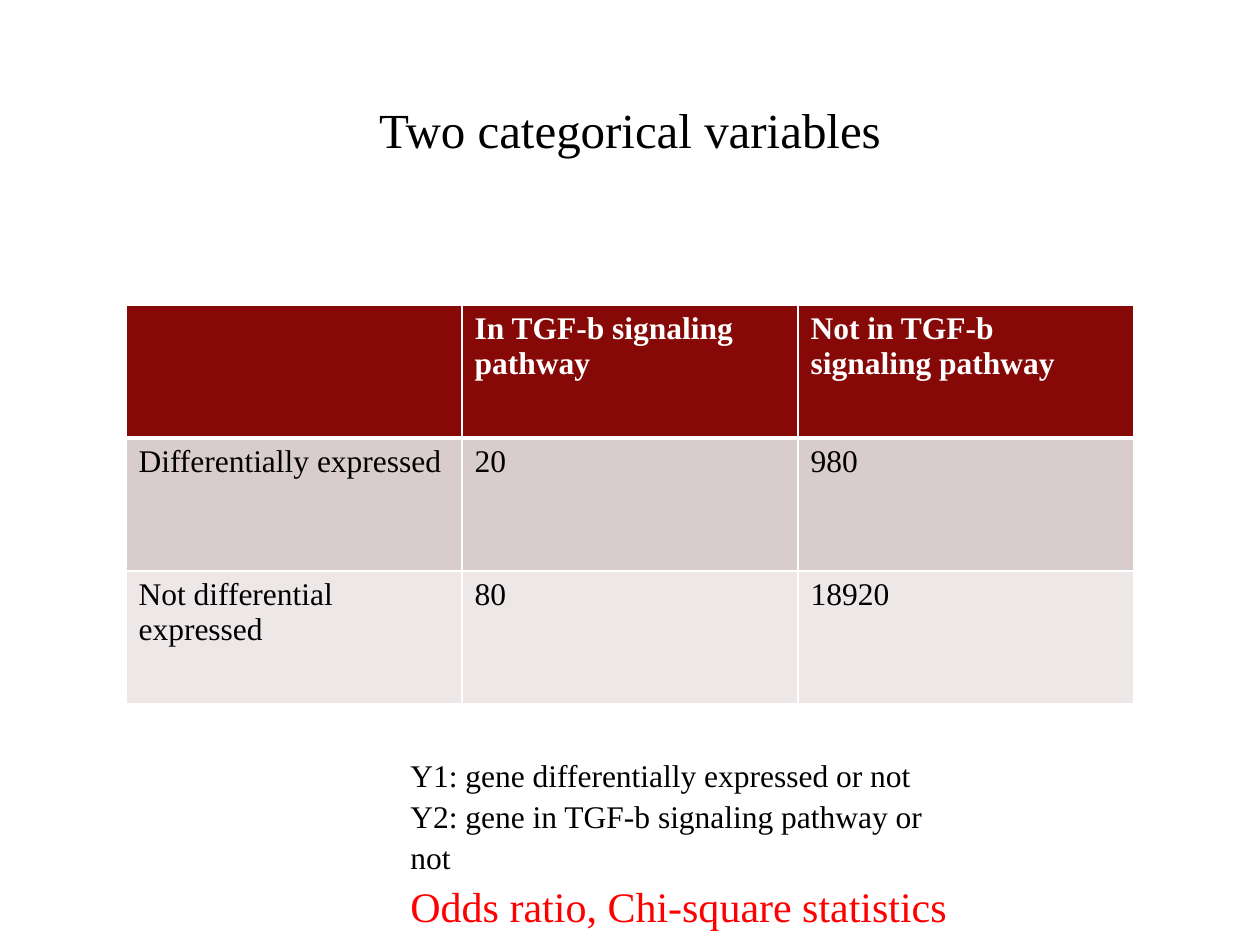
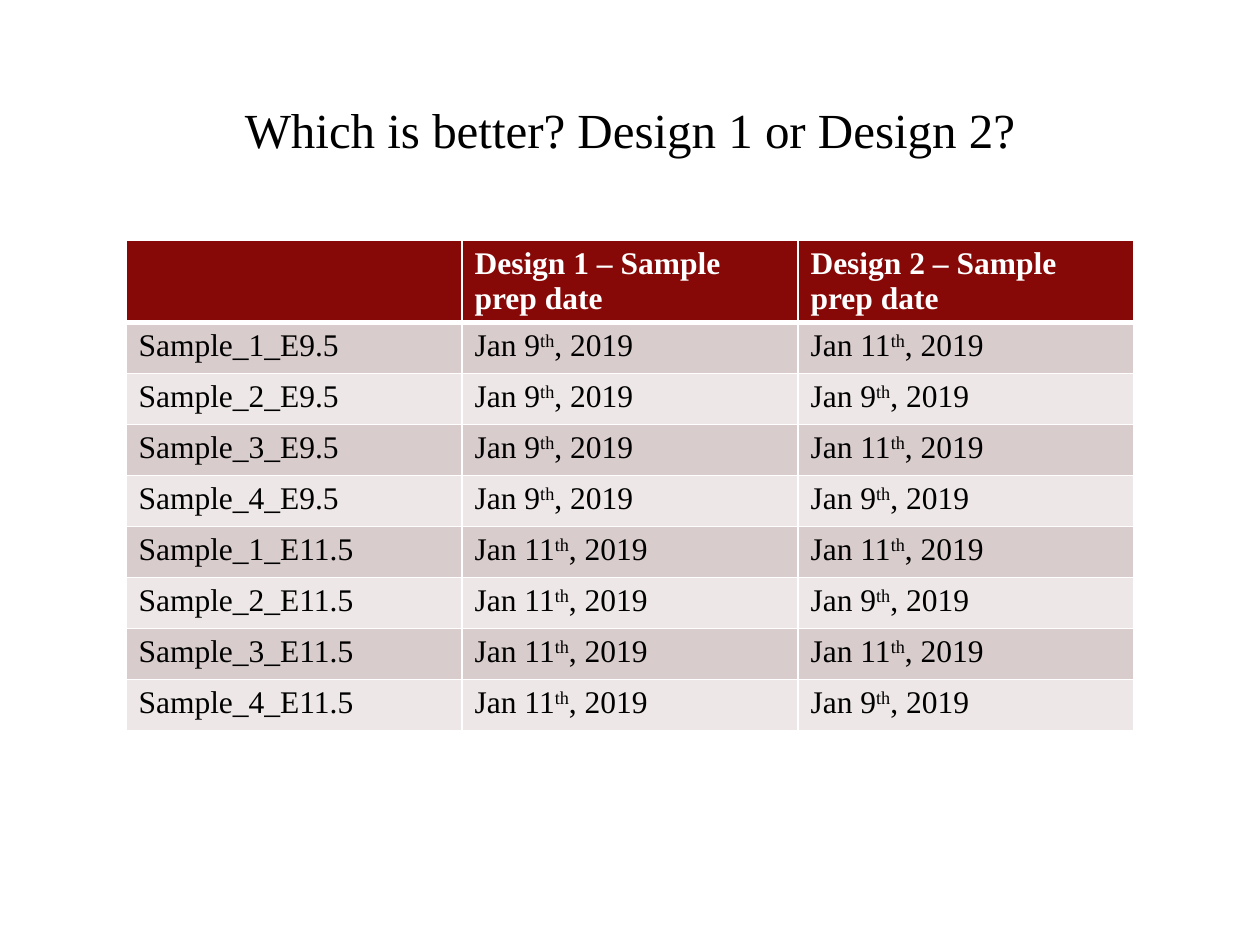
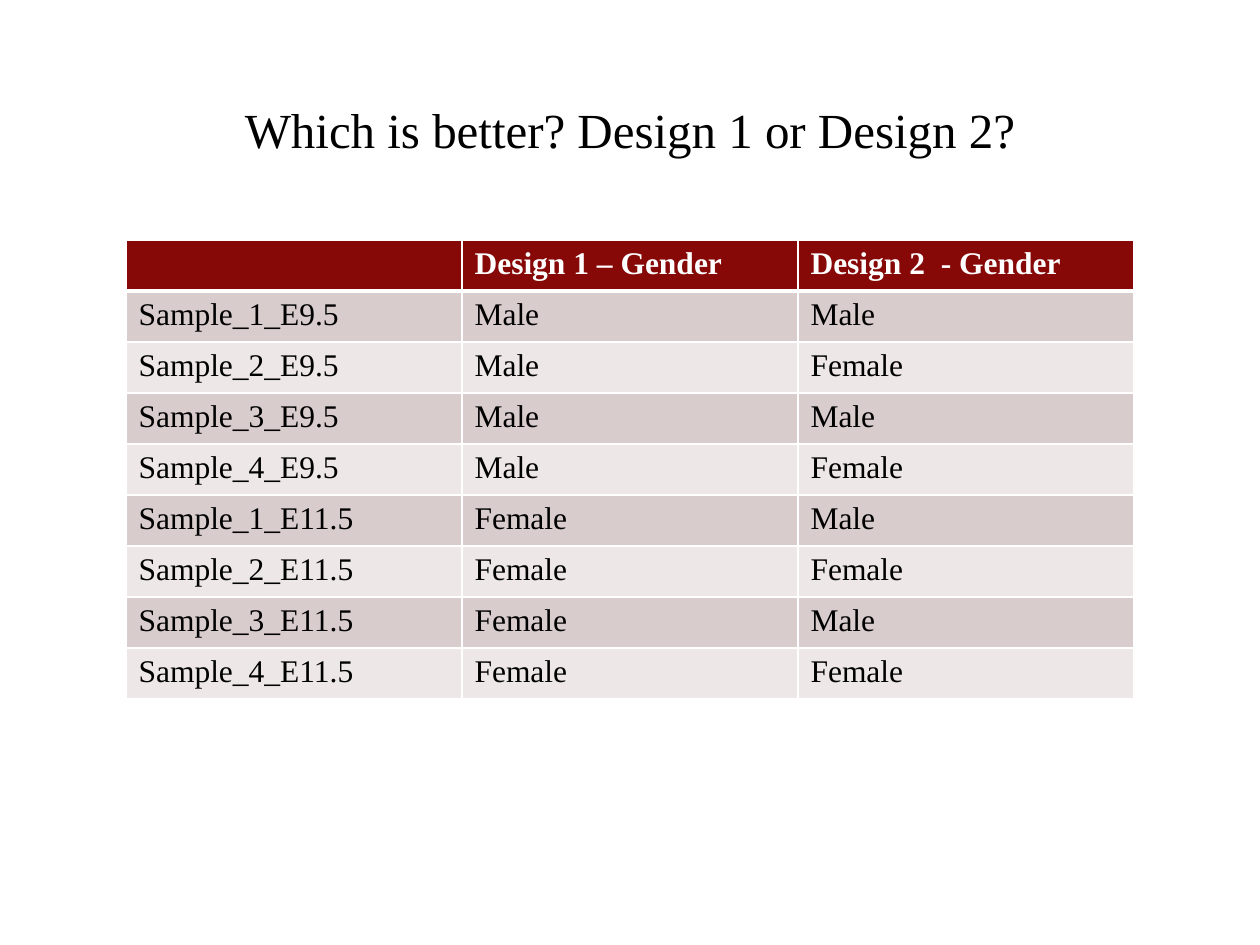
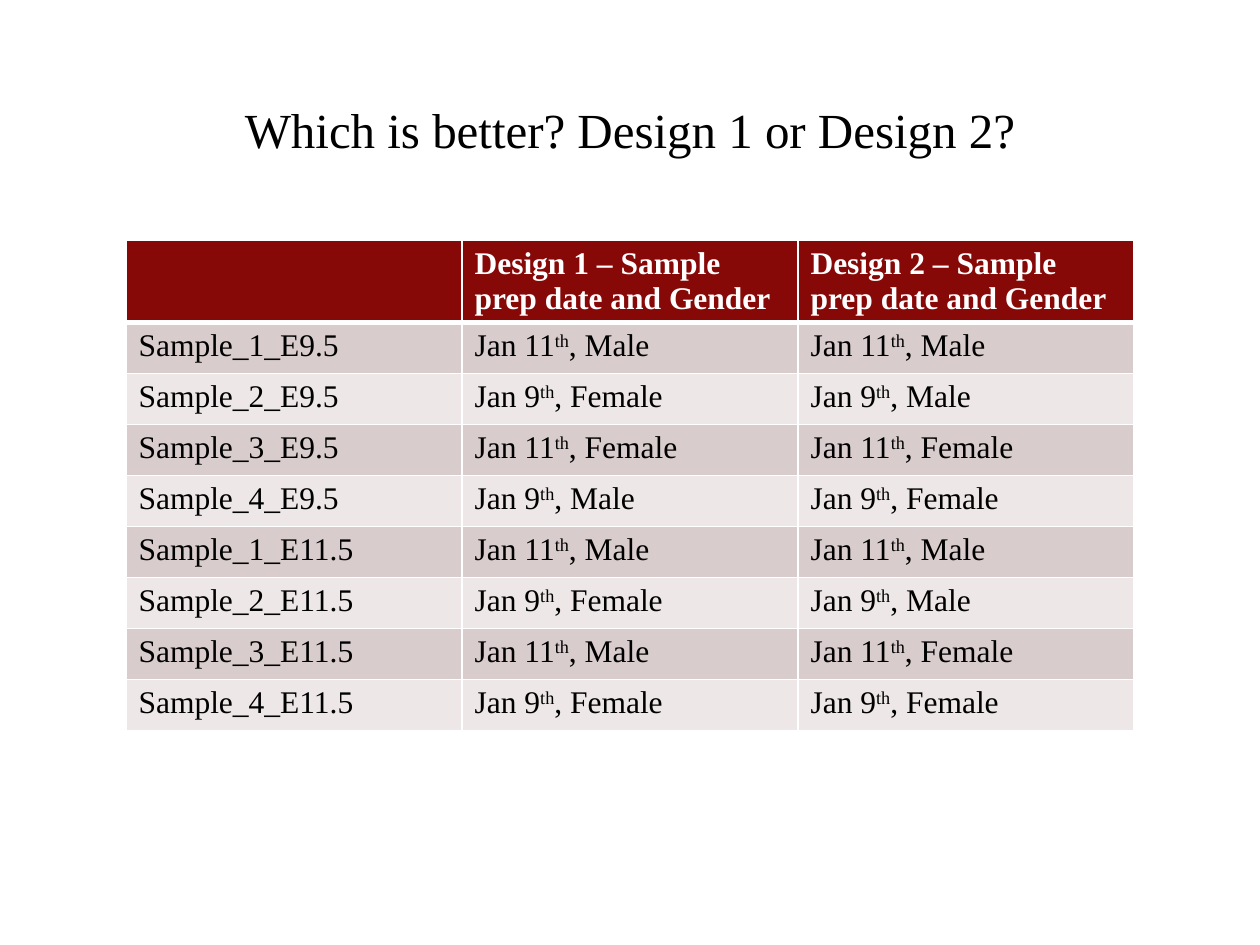
from itertools import product

from lxml import etree
from pptx import Presentation
from pptx.dml.color import RGBColor
from pptx.enum.text import MSO_ANCHOR, MSO_AUTO_SIZE, PP_ALIGN
from pptx.oxml.ns import qn
from pptx.util import Emu, Pt

CENTER = PP_ALIGN.CENTER
MIDDLE = MSO_ANCHOR.MIDDLE
GROW = MSO_AUTO_SIZE.SHAPE_TO_FIT_TEXT

EMU_PER_PX = 914400 / 126
FONT = "Times New Roman"
BLACK, WHITE, RED = "000000", "FFFFFF", "FF0000"
HEADER_FILL = "860908"
BAND_FILLS = ("D9CCCC", "EDE7E7")
LEFT, COLUMN_WIDTH = 126, 336
ROW_HEIGHT, TALL_HEADER = 51, 81
DESIGN_TOP = 240
QUESTION = "Which is better? Design 1 or Design 2?"


def px(value):
    return Emu(round(value * EMU_PER_PX))


def color(value):
    return RGBColor.from_string(value)


class Deck:
    title_format = {"size": Pt(28), "name": FONT, "bold": False}
    text_format = {"size": Pt(18), "name": FONT, "bold": False}
    header_format = {**text_format, "bold": True}
    emphasis_format = {**text_format, "size": Pt(24)}

    def __init__(self):
        self.presentation = Presentation()
        self.presentation.slide_width = px(1260)
        self.presentation.slide_height = px(945)
        self.slide = None

    def new_slide(self, title):
        layout = self.presentation.slide_layouts.get_by_name("Title Only")
        self.slide = self.presentation.slides.add_slide(layout)
        shape = self.slide.shapes.title
        self.place(shape, 126, 69, 1008, 120)
        shape.text_frame.vertical_anchor = MIDDLE
        paragraph = shape.text_frame.paragraphs[0]
        paragraph.alignment = CENTER
        self.add_text(paragraph, title, self.title_format, BLACK)

    def place(self, shape, left, top, width, height):
        bounds = {"left": left, "top": top, "width": width, "height": height}
        for name, value in bounds.items():
            setattr(shape, name, px(value))

    def add_text(self, paragraph, text, font_format, text_color):
        for index, part in enumerate(text.split("^")):
            run = paragraph.add_run()
            run.text = part
            for name, value in font_format.items():
                setattr(run.font, name, value)
            run.font.color.rgb = color(text_color)
            if index % 2:
                run.font._element.set("baseline", "30000")

    def text_box(self, left, top, width, height, lines):
        shape = self.slide.shapes.add_textbox(*map(px, (left, top, width, height)))
        frame = shape.text_frame
        frame.word_wrap = True
        frame.auto_size = GROW
        for index, line in enumerate(lines):
            paragraph = frame.add_paragraph() if index else frame.paragraphs[0]
            paragraph.line_spacing = 1.09
            self.add_text(paragraph, *line)

    def table(self, top, header_height, row_height, rows):
        columns = len(rows[0])
        height = header_height + row_height * (len(rows) - 1)
        bounds = (LEFT, top, COLUMN_WIDTH * columns, height)
        frame = self.slide.shapes.add_table(len(rows), columns, *map(px, bounds))
        for row_index, values in enumerate(rows):
            is_header = row_index == 0
            frame.table.rows[row_index].height = px(header_height if is_header else row_height)
            for column_index, text in enumerate(values):
                cell = frame.table.cell(row_index, column_index)
                self.borders(cell, is_header)
                cell.fill.solid()
                fill = HEADER_FILL if is_header else BAND_FILLS[(row_index - 1) % 2]
                cell.fill.fore_color.rgb = color(fill)
                if text:
                    font_format = self.header_format if is_header else self.text_format
                    text_color = WHITE if is_header else BLACK
                    self.add_text(cell.text_frame.paragraphs[0], text, font_format, text_color)

    def borders(self, cell, is_header):
        widths = {"lnL": 1, "lnR": 1, "lnT": 1, "lnB": 3} if is_header else {"lnL": 1, "lnR": 1, "lnB": 1}
        properties = cell._tc.get_or_add_tcPr()
        for side, width in widths.items():
            line = etree.SubElement(properties, qn(f"a:{side}"), w=str(int(Pt(width))))
            fill = etree.SubElement(line, qn("a:solidFill"))
            etree.SubElement(fill, qn("a:srgbClr"), val=WHITE)

    def design_slide(self, heading_1, heading_2, header_height, design_1, design_2):
        samples = [f"Sample_{number}_{stage}" for stage, number in product(("E9.5", "E11.5"), range(1, 5))]
        self.new_slide(QUESTION)
        rows = [("", heading_1, heading_2), *zip(samples, design_1, design_2)]
        self.table(DESIGN_TOP, header_height, ROW_HEIGHT, rows)


def main():
    deck = Deck()

    deck.new_slide("Two categorical variables")
    deck.table(305, 133, 133, [
        ("", "In TGF-b signaling pathway", "Not in TGF-b signaling pathway"),
        ("Differentially expressed", "20", "980"),
        ("Not differential expressed", "80", "18920"),
    ])
    deck.text_box(398, 746, 572, 140, [
        ("Y1: gene differentially expressed or not", deck.text_format, BLACK),
        ("Y2: gene in TGF-b signaling pathway or not", deck.text_format, BLACK),
        ("Odds ratio, Chi-square statistics", deck.emphasis_format, RED),
    ])

    day_9, day_11 = "Jan 9^th^", "Jan 11^th^"
    date_9, date_11 = f"{day_9}, 2019", f"{day_11}, 2019"
    deck.design_slide(
        "Design 1 – Sample prep date", "Design 2 – Sample prep date", TALL_HEADER,
        [date_9] * 4 + [date_11] * 4, [date_11, date_9] * 4,
    )

    male, female = "Male", "Female"
    deck.design_slide(
        "Design 1 – Gender", "Design 2  - Gender", ROW_HEIGHT,
        [male] * 4 + [female] * 4, [male, female] * 4,
    )

    days = [day_11, day_9] * 4
    genders_1 = [male, female, female, male] + [male, female] * 2
    genders_2 = [male, male, female, female] * 2
    deck.design_slide(
        "Design 1 – Sample prep date and Gender",
        "Design 2 – Sample prep date and Gender", TALL_HEADER,
        *([f"{day}, {gender}" for day, gender in zip(days, genders)] for genders in (genders_1, genders_2)),
    )

    deck.presentation.save("out.pptx")


if __name__ == "__main__":
    main()
